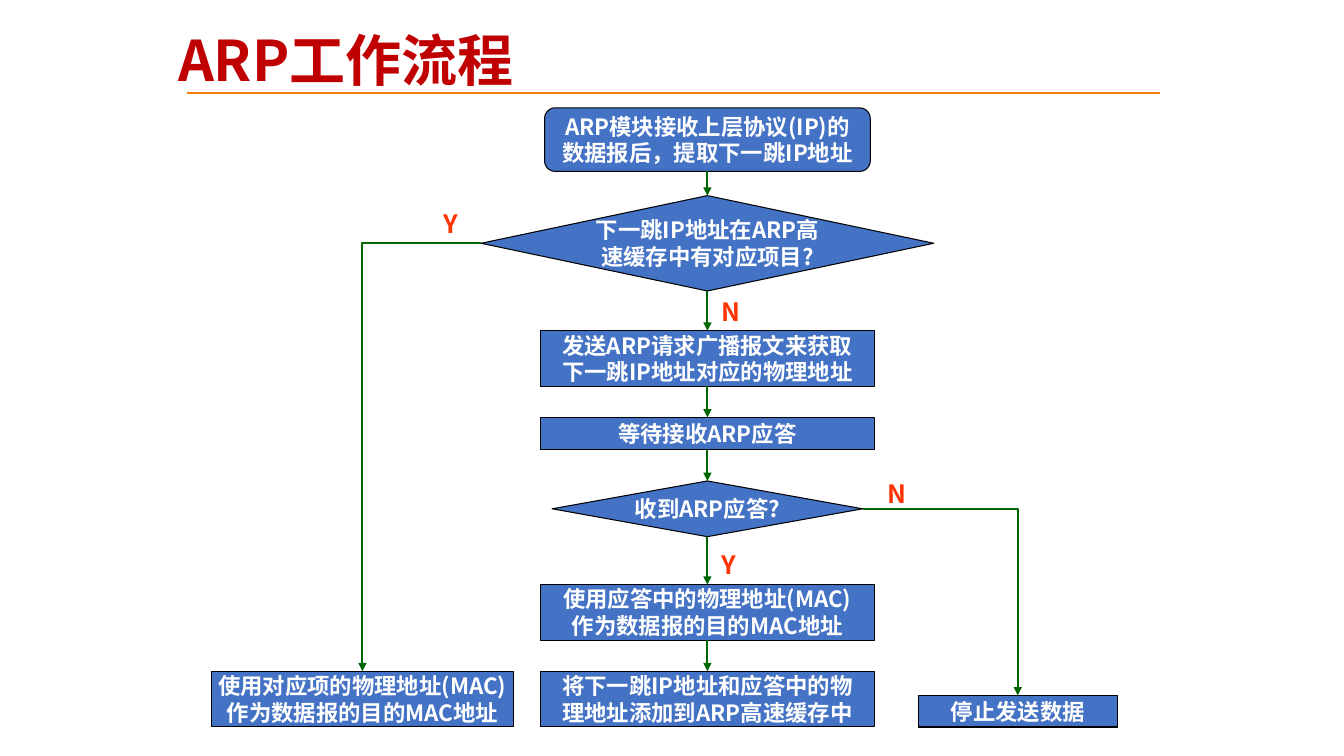
from dataclasses import dataclass
from itertools import pairwise

from lxml import etree
from pptx import Presentation
from pptx import util as u
from pptx.dml.color import RGBColor
from pptx.enum import shapes, text
from pptx.oxml.ns import qn


@dataclass(frozen=True)
class Theme:
    font: str = "Noto Sans CJK SC"
    title: str = "C00000"
    rule: str = "F08000"
    node: str = "4472C4"
    outline: str = "000000"
    node_text: str = "FFFFFF"
    arrow: str = "006600"
    answer: str = "FF3300"
    title_size: int = 40
    node_size: int = 16
    answer_size: int = 18
    thin: float = 0.75
    thick: float = 1.5


THEME = Theme()
RECT = shapes.MSO_SHAPE.RECTANGLE
ROUND = shapes.MSO_SHAPE.ROUNDED_RECTANGLE
DIAMOND = shapes.MSO_SHAPE.DIAMOND


@dataclass(frozen=True)
class Box:
    left: int
    top: int
    width: int
    height: int

    def share(self, x, y, width, height):
        """Return a smaller box, given in percent of this one."""
        return Box(
            int(self.left + self.width * x / 100),
            int(self.top + self.height * y / 100),
            int(self.width * width / 100),
            int(self.height * height / 100),
        )

    @property
    def edges(self):
        return self.left, self.top, self.width, self.height


# Percent of the flow area: kind, top, width, height, lines
MAIN_X = 54.75
MAIN_STEPS = [
    (ROUND, 0, 35.97, 10.26, "ARP模块接收上层协议(IP)的\n数据报后，提取下一跳IP地址"),
    (DIAMOND, 14.17, 50, 15.4, "下一跳IP地址在ARP高\n速缓存中有对应项目?"),
    (RECT, 36, 36.86, 9, "发送ARP请求广播报文来获取\n下一跳IP地址对应的物理地址"),
    (RECT, 50, 36.86, 5.2, "等待接收ARP应答"),
    (DIAMOND, 60.26, 34.3, 9, "收到ARP应答?"),
    (RECT, 77, 36.86, 9, "使用应答中的物理地址(MAC)\n作为数据报的目的MAC地址"),
    (RECT, 91, 36.86, 9, "将下一跳IP地址和应答中的物\n理地址添加到ARP高速缓存中"),
]
ANSWERS = [("Y", 24.5, 15.4), ("N", 55.23, 29.64), ("N", 73.6, 59.1), ("Y", 55.23, 70.5)]


def format_text(frame, size, color, align):
    for para in frame.paragraphs:
        para.alignment = align
        for span in para.runs:
            font = span.font
            font.name, font.size, font.bold = THEME.font, u.Pt(size), True
            font.color.rgb = RGBColor.from_string(color)
            properties = span._r.get_or_add_rPr()
            etree.SubElement(properties, qn("a:ea"), typeface=THEME.font)


def format_line(shape, color, width, arrow=False):
    shape.line.color.rgb = RGBColor.from_string(color)
    shape.line.width = u.Pt(width)
    if arrow:
        line = shape.element.spPr.find(qn("a:ln"))
        etree.SubElement(line, qn("a:tailEnd"), type="triangle")


def add_line(page, start, end, color, arrow=False):
    line = page.shapes.add_connector(shapes.MSO_CONNECTOR.STRAIGHT, *start, *end)
    format_line(line, color, THEME.thick, arrow)
    etree.SubElement(line.element.spPr, qn("a:effectLst"))


def add_node(page, kind, box, wording):
    node = page.shapes.add_shape(kind, *box.edges)
    node.shadow.inherit = False
    node.fill.solid()
    node.fill.fore_color.rgb = RGBColor.from_string(THEME.node)
    format_line(node, THEME.outline, THEME.thin)
    frame = node.text_frame
    frame.text = wording
    frame.word_wrap = False
    frame.vertical_anchor = text.MSO_ANCHOR.MIDDLE
    format_text(frame, THEME.node_size, THEME.node_text, text.PP_ALIGN.CENTER)
    return node


def add_answer(page, box, letter):
    label = page.shapes.add_textbox(*box.edges)
    frame = label.text_frame
    frame.text = letter
    frame.word_wrap = False
    frame.auto_size = text.MSO_AUTO_SIZE.SHAPE_TO_FIT_TEXT
    format_text(frame, THEME.answer_size, THEME.answer, text.PP_ALIGN.LEFT)


def add_branch(page, start_x, decision, target):
    """Draw an elbow arrow from one side of a decision down to its target."""
    y = decision.top + decision.height // 2
    x = target.left + target.width // 2
    builder = page.shapes.build_freeform(start_x, y)
    builder.add_line_segments([(x, y), (x, target.top)], close=False)
    branch = builder.convert_to_shape()
    branch.shadow.inherit = False
    branch.fill.background()
    format_line(branch, THEME.arrow, THEME.thick, arrow=True)


def add_header(page, box):
    title = page.shapes.title
    title.left, title.top, title.width, title.height = box.edges
    frame = title.text_frame
    frame.text = "ARP工作流程"
    frame.auto_size = text.MSO_AUTO_SIZE.NONE
    frame.vertical_anchor = text.MSO_ANCHOR.MIDDLE
    frame.paragraphs[0].line_spacing = 0.9
    format_text(frame, THEME.title_size, THEME.title, text.PP_ALIGN.LEFT)
    rule = box.share(2.11, 73.6, 107.2, 0)
    add_line(page, (rule.left, rule.top), (rule.left + rule.width, rule.top), THEME.rule)


def add_flow(page, box):
    steps = [
        add_node(page, kind, box.share(MAIN_X - width / 2, top, width, height), wording)
        for kind, top, width, height, wording in MAIN_STEPS
    ]
    center = box.share(MAIN_X, 0, 0, 0).left
    for upper, lower in pairwise(steps):
        add_line(page, (center, upper.top + upper.height), (center, lower.top), THEME.arrow, arrow=True)

    stop = add_node(page, RECT, box.share(78.06, 94.9, 21.94, 5.1), "停止发送数据")
    cached = add_node(
        page, RECT, box.share(0, 91, 33.3, 9), "使用对应项的物理地址(MAC)\n作为数据报的目的MAC地址"
    )
    in_cache, replied = steps[1], steps[4]
    add_branch(page, replied.left + replied.width, replied, stop)
    add_branch(page, in_cache.left, in_cache, cached)
    for letter, x, y in ANSWERS:
        add_answer(page, box.share(x, y, 4.2, 6.5), letter)


def main():
    deck = Presentation()
    deck.slide_width, deck.slide_height = u.Inches(13.33), u.Inches(7.5)
    page = deck.slides.add_slide(deck.slide_layouts[5])
    slide_box = Box(0, 0, deck.slide_width, deck.slide_height)
    add_header(page, slide_box.share(12.5, 0, 67.5, 16.67))
    add_flow(page, slide_box.share(15.75, 14.27, 67.37, 81.9))
    deck.save("out.pptx")


if __name__ == "__main__":
    main()
